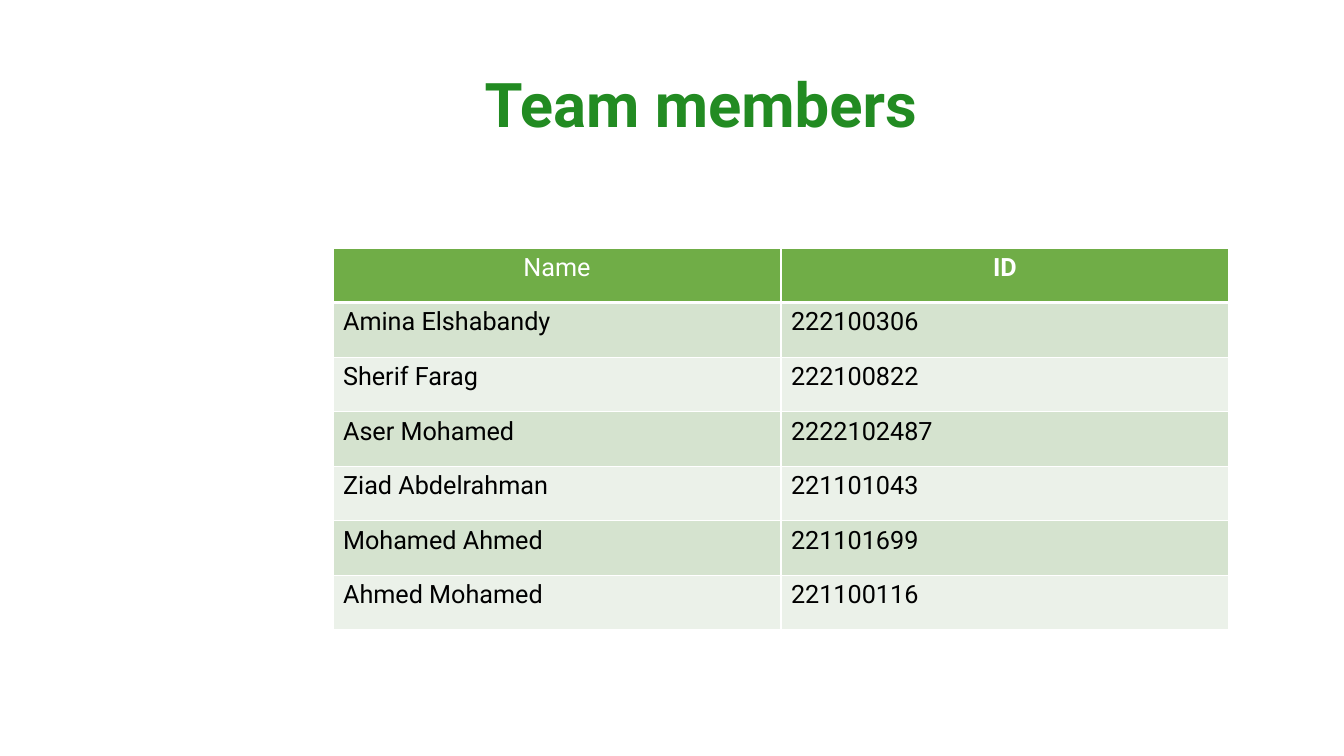
from lxml import etree
from pptx import Presentation
from pptx.dml.color import RGBColor
from pptx.enum.text import MSO_ANCHOR, PP_ALIGN
from pptx.oxml.ns import qn
from pptx.util import Emu, Pt

EMU_PER_PX = 914400 / 100.8
CENTER, LEFT = PP_ALIGN.CENTER, PP_ALIGN.LEFT
MIDDLE = MSO_ANCHOR.MIDDLE
FONT = "Roboto"
WHITE, BLACK, TITLE_GREEN = "FFFFFF", "000000", "228B22"
HEADER_FILL = "70AD47"
BAND_FILLS = ("EBF1E9", "D5E3CF")

HEADERS = ("Name", "ID")
MEMBERS = (
    ("Amina Elshabandy", "222100306"),
    ("Sherif Farag", "222100822"),
    ("Aser Mohamed", "2222102487"),
    ("Ziad Abdelrahman", "221101043"),
    ("Mohamed Ahmed", "221101699"),
    ("Ahmed Mohamed", "221100116"),
)


def px(length):
    return Emu(round(length * EMU_PER_PX))


def color(value):
    return RGBColor.from_string(value)


def style_paragraph(paragraph, text, size, text_color, bold, alignment):
    paragraph.text = text
    paragraph.alignment = alignment
    font = paragraph.font
    font.name = FONT
    font.size = Pt(size)
    font.bold = bold
    font.color.rgb = color(text_color)


def add_title(slide, text, left, top, width, height):
    shape = slide.shapes.add_textbox(px(left), px(top), px(width), px(height))
    frame = shape.text_frame
    frame.word_wrap = True
    frame.vertical_anchor = MIDDLE
    paragraph = frame.paragraphs[0]
    style_paragraph(paragraph, text, 44, TITLE_GREEN, True, CENTER)
    paragraph.line_spacing = 0.9


def set_borders(cell, top, bottom):
    properties = cell._tc.get_or_add_tcPr()
    for side, width in (("L", 1), ("R", 1), ("T", top), ("B", bottom)):
        line = etree.SubElement(properties, qn(f"a:ln{side}"), w=str(Pt(width)))
        fill = etree.SubElement(line, qn("a:solidFill"))
        etree.SubElement(fill, qn("a:srgbClr"), val=WHITE)


def fill_cell(cell, row, column, text):
    header = row == 0
    set_borders(cell, 3 if row == 1 else 1, 3 if header else 1)
    cell.fill.solid()
    cell.fill.fore_color.rgb = color(HEADER_FILL if header else BAND_FILLS[row % 2])
    style_paragraph(
        cell.text_frame.paragraphs[0], text, 18,
        WHITE if header else BLACK,
        header and column == 1,
        CENTER if header else LEFT,
    )


def add_member_table(slide, rows, left, top, width, height):
    table = slide.shapes.add_table(
        len(rows), len(rows[0]), px(left), px(top), px(width), px(height)
    ).table
    for row, values in enumerate(rows):
        for column, text in enumerate(values):
            fill_cell(table.cell(row, column), row, column, text)


def main():
    presentation = Presentation()
    presentation.slide_width = px(1344)
    presentation.slide_height = px(756)
    slide = presentation.slides.add_slide(presentation.slide_layouts[6])
    add_title(slide, "Team members", 174, 54, 1054, 108)
    add_member_table(slide, (HEADERS, *MEMBERS), 333, 248, 896, 382)
    presentation.save("out.pptx")


if __name__ == "__main__":
    main()
